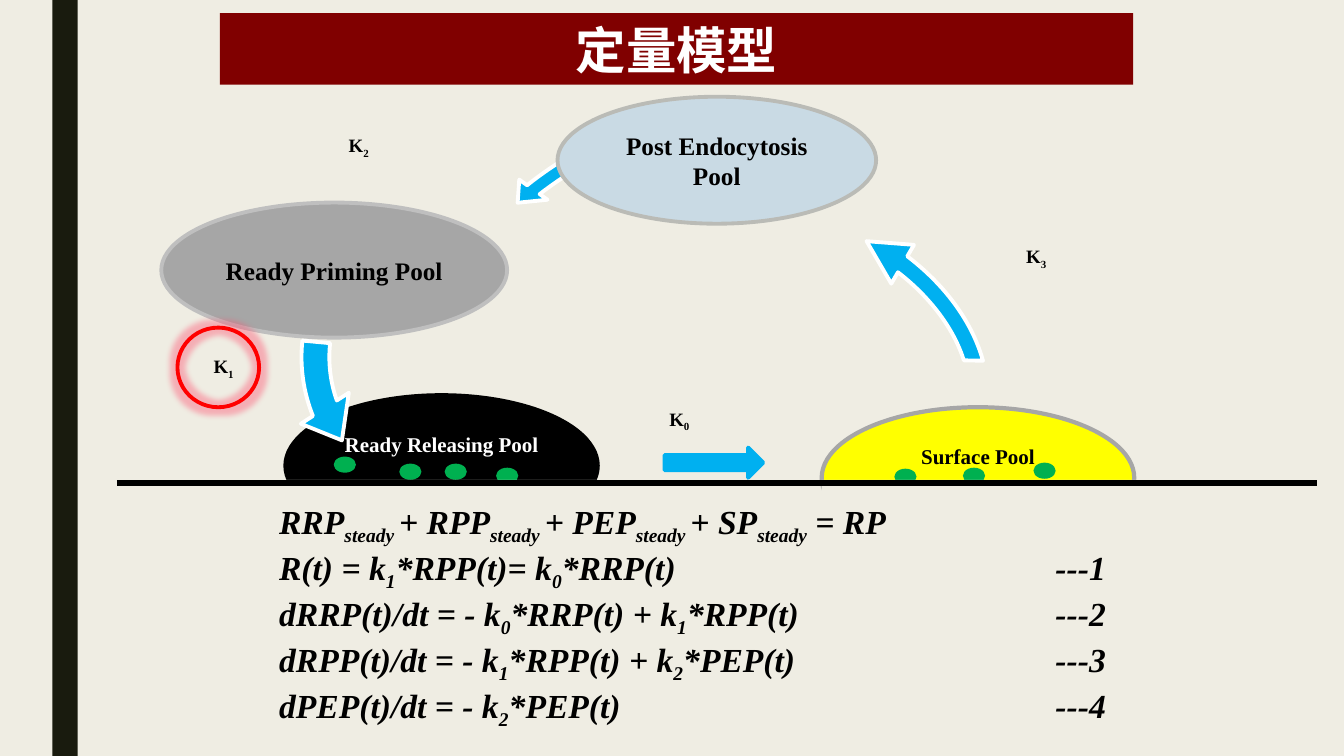
from dataclasses import dataclass

from lxml import etree
from pptx import Presentation, util as u
from pptx.dml import color as dml
from pptx.enum import shapes, text
from pptx.oxml import ns

COLORS = {
    "paper": "EFEDE3", "stripe": "191B0E", "blue": "00B0F0", "white": "FFFFFF",
    "black": "000000", "yellow": "FFFF00", "grey": "A6A6A6", "silver": "BFBFBF",
    "pale": "C9DAE4", "stone": "BABBB6", "green": "00B050", "maroon": "800000",
    "red": "FF0000", "rose": "FF5070",
}
FONT = "Times New Roman"
KIND = shapes.MSO_SHAPE
DOT_SIZE = (0.22, 0.16)
MASK_SIZE = (3.81, 1.04)
LABEL_SIZE = (0.75, 0.38)
TAB_STOP = 7.7


@dataclass
class Pool:
    name: str
    place: tuple
    fill: str
    line: str
    ink: str = "black"
    size: float = 18
    lift: float = 0
    weight: float = 2.75


@dataclass
class CurvedArrow:
    place: tuple
    rotation: float
    shaft: float
    head_angle: float
    end_angle: float
    start_angle: float
    head: float


@dataclass
class RateLabel:
    index: int
    left: float
    top: float


RELEASING = Pool("Ready Releasing Pool", (2.83, 3.92, 3.1, 1.4), "black", "black", "white", 15, 0.42)
SURFACE = Pool("Surface Pool", (8.15, 4.04, 3.1, 1.4), "yellow", "grey", "black", 15, 0.42, 3)
ENDOCYTOSIS = Pool("Post Endocytosis Pool", (5.53, 0.96, 3.16, 1.26), "pale", "stone")
PRIMING = Pool("Ready Priming Pool", (1.6, 2.01, 3.43, 1.34), "grey", "silver")

TO_PRIMING = CurvedArrow((3.88, 1.35, 4.61, 2.82), 325.6, 0.052, 5.41, 168.68, 156.12, 0.061)
TO_RELEASING = CurvedArrow((2.91, 1.7, 3.54, 3.67), 266.3, 0.078, 8.06, 171.46, 156.6, 0.08)
TO_ENDOCYTOSIS = CurvedArrow((5.83, 1.99, 4.19, 3.1), 25.7, 0.059, 10.76, 148.47, 122.68, 0.072)

RATES = [RateLabel(1, 2.02, 3.47), RateLabel(2, 3.36, 1.28),
         RateLabel(3, 10.08, 2.38), RateLabel(0, 6.54, 3.99)]
RELEASING_DOTS = [(3.31, 4.53), (4.41, 4.6), (3.96, 4.6), (4.92, 4.64)]
SURFACE_DOTS = [(8.87, 4.65), (9.55, 4.64)]

EQUATIONS = [
    "RRP|steady |+ RPP|steady |+ PEP|steady |+ SP|steady| = RP",
    "R(t) = k|1|*RPP(t)= k|0|*RRP(t)\t---1",
    "dRRP(t)/dt = - k|0|*RRP(t) + k|1|*RPP(t)\t---2",
    "dRPP(t)/dt = - k|1|*RPP(t) + k|2|*PEP(t)\t---3",
    "dPEP(t)/dt = - k|2|*PEP(t)\t---4",
]


def rgb(name: str) -> dml.RGBColor:
    return dml.RGBColor.from_string(COLORS[name])


def add_figure(page, kind, place: tuple, fill=None, line=None, weight: float = 2.75):
    figure = page.shapes.add_shape(kind, *map(u.Inches, place))
    figure.shadow.inherit = False
    if fill:
        figure.fill.solid()
        figure.fill.fore_color.rgb = rgb(fill)
    else:
        figure.fill.background()
    if line:
        figure.line.color.rgb = rgb(line)
        figure.line.width = u.Pt(weight)
    else:
        figure.line.fill.background()
    return figure


def style(span, size: float, ink: str = "black", italic: bool = False) -> None:
    span.font.name = FONT
    span.font.size = u.Pt(size)
    span.font.bold = True
    span.font.italic = italic
    span.font.color.rgb = rgb(ink)


def write_centred(figure, words: str, size: float, ink: str) -> None:
    frame = figure.text_frame
    frame.text = words
    frame.word_wrap = True
    frame.vertical_anchor = text.MSO_ANCHOR.MIDDLE
    para = frame.paragraphs[0]
    para.alignment = text.PP_ALIGN.CENTER
    style(para.runs[0], size, ink)


def write_formula(para, formula: str, size: float, italic: bool = False) -> None:
    for position, part in enumerate(formula.split("|")):
        span = para.add_run()
        span.text = part
        style(span, size, italic=italic)
        if position % 2:
            span.font._element.set("baseline", "-25000")


def add_pool(page, pool: Pool) -> None:
    figure = add_figure(page, KIND.OVAL, pool.place, pool.fill, pool.line, pool.weight)
    write_centred(figure, pool.name, pool.size, pool.ink)
    figure.text_frame.margin_bottom = u.Inches(0.05 + pool.lift)


def add_curved_arrow(page, arrow: CurvedArrow) -> None:
    figure = add_figure(page, KIND.CIRCULAR_ARROW, arrow.place, "blue", "white")
    figure.rotation = arrow.rotation
    figure._element.spPr.find(ns.qn("a:xfrm")).set("flipH", "1")
    values = (arrow.shaft, arrow.head_angle, arrow.end_angle, arrow.start_angle, arrow.head)
    for position, value in enumerate(values):
        figure.adjustments[position] = value


def add_dots(page, corners: list) -> None:
    for corner in corners:
        add_figure(page, KIND.OVAL, corner + DOT_SIZE, "green")


def add_rate(page, rate: RateLabel) -> None:
    box = page.shapes.add_textbox(*map(u.Inches, (rate.left, rate.top) + LABEL_SIZE))
    box.text_frame.word_wrap = False
    write_formula(box.text_frame.paragraphs[0], f"K|{rate.index}", 13.5)


def add_membrane(page) -> None:
    line = page.shapes.add_connector(
        shapes.MSO_CONNECTOR.STRAIGHT, *map(u.Inches, (1.16, 4.79, 13.06, 4.79)))
    line.line.color.rgb = rgb("black")
    line.line.width = u.Pt(4.5)
    etree.SubElement(line._element.spPr, ns.qn("a:effectLst"))


def add_equations(page) -> None:
    box = page.shapes.add_textbox(*map(u.Inches, (2.67, 4.92, 9.14, 2.12)))
    frame = box.text_frame
    frame.word_wrap = True
    for position, equation in enumerate(EQUATIONS):
        para = frame.add_paragraph() if position else frame.paragraphs[0]
        if "\t" in equation:
            stops = etree.SubElement(para._p.get_or_add_pPr(), ns.qn("a:tabLst"))
            etree.SubElement(stops, ns.qn("a:tab"), pos=str(u.Inches(TAB_STOP)), algn="l")
        write_formula(para, equation, 24, italic=True)


def add_highlight(page) -> None:
    ring = add_figure(page, KIND.OVAL, (1.76, 3.25, 0.81, 0.79), line="red")
    effects = ring._element.spPr.find(ns.qn("a:effectLst"))
    glow = etree.SubElement(effects, ns.qn("a:glow"), rad=str(u.Inches(0.11)))
    tint = etree.SubElement(glow, ns.qn("a:srgbClr"), val=COLORS["rose"])
    etree.SubElement(tint, ns.qn("a:alpha"), val="40000")


def main() -> None:
    deck = Presentation()
    deck.slide_width, deck.slide_height = u.Inches(13.33), u.Inches(7.5)
    page = deck.slides.add_slide(deck.slide_layouts[6])
    page.background.fill.solid()
    page.background.fill.fore_color.rgb = rgb("paper")

    add_figure(page, KIND.RECTANGLE, (0.52, 0, 0.25, 7.5), "stripe")
    add_curved_arrow(page, TO_PRIMING)
    for pool in (RELEASING, SURFACE, ENDOCYTOSIS, PRIMING):
        add_pool(page, pool)
    add_curved_arrow(page, TO_RELEASING)
    add_curved_arrow(page, TO_ENDOCYTOSIS)
    add_dots(page, RELEASING_DOTS + SURFACE_DOTS)
    for left in (2.54, 8.15):
        add_figure(page, KIND.RECTANGLE, (left, 4.76) + MASK_SIZE, "paper")
    add_membrane(page)
    add_dots(page, [(10.25, 4.59)])
    add_figure(page, KIND.RIGHT_ARROW, (6.59, 4.44, 0.98, 0.3), "blue", "blue")
    for rate in RATES:
        add_rate(page, rate)
    add_equations(page)
    title = add_figure(page, KIND.RECTANGLE, (2.18, 0.13, 9.06, 0.71), "maroon")
    write_centred(title, "定量模型", 36, "white")
    add_highlight(page)
    deck.save("out.pptx")


if __name__ == "__main__":
    main()
